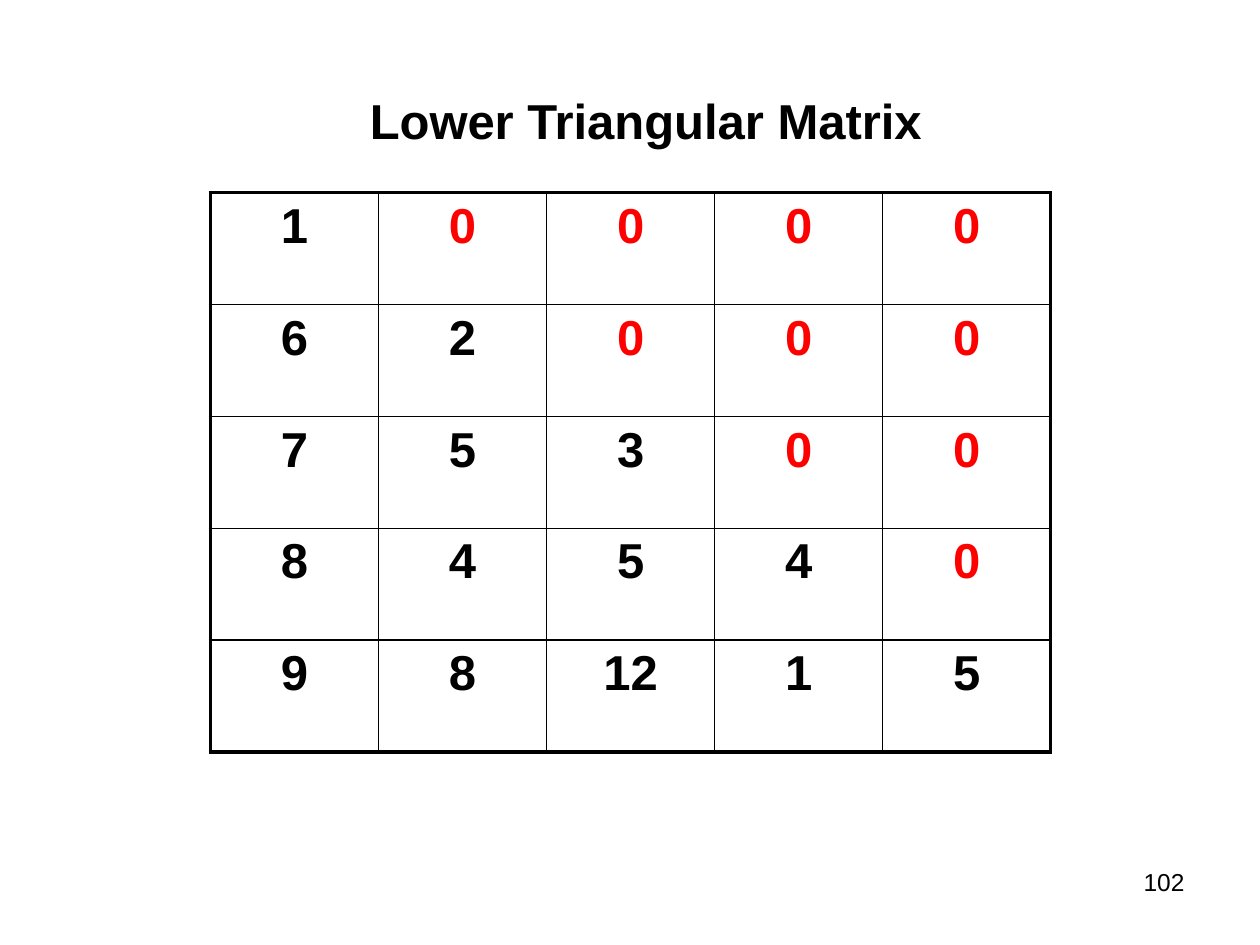
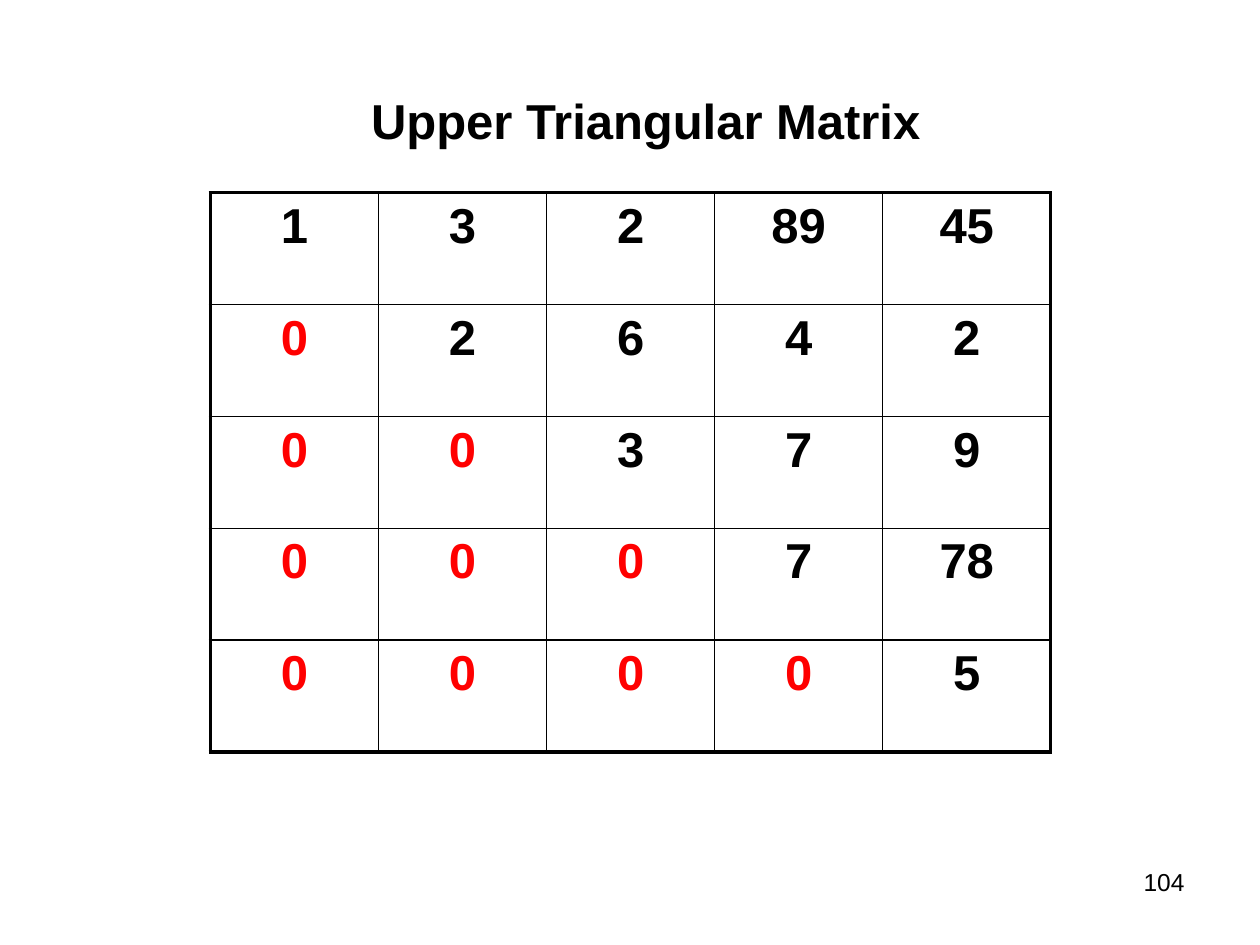
from lxml import etree
from pptx import Presentation
from pptx import util as u
from pptx.dml.color import RGBColor
from pptx.enum import text
from pptx.oxml import ns

BLACK, RED = "000000", "FF0000"
FONT = "Arial"
TITLE_ONLY = 5
THIN, THICK = 1, 2.25
TABLE_LEFT, TABLE_TOP, TABLE_WIDTH, TABLE_HEIGHT = 1.67, 1.53, 6.67, 4.44

LOWER = [
    [1, 0, 0, 0, 0],
    [6, 2, 0, 0, 0],
    [7, 5, 3, 0, 0],
    [8, 4, 5, 4, 0],
    [9, 8, 12, 1, 5],
]
UPPER = [
    [1, 3, 2, 89, 45],
    [0, 2, 6, 4, 2],
    [0, 0, 3, 7, 9],
    [0, 0, 0, 7, 78],
    [0, 0, 0, 0, 5],
]


def color(hex_string):
    return RGBColor.from_string(hex_string)


def write(tf, content, size=28, bold=True, fill=BLACK,
          align=text.PP_ALIGN.CENTER):
    tf.word_wrap = True
    p = tf.paragraphs[0]
    p.alignment = align
    r = p.add_run()
    r.text = content
    r.font.name = FONT
    r.font.size = u.Pt(size)
    r.font.bold = bold
    r.font.color.rgb = color(fill)


def add_title(s, content):
    sp = s.shapes.title
    sp.left, sp.top = u.Inches(2), u.Inches(0.67)
    sp.width, sp.height = u.Inches(6.25), u.Inches(0.57)
    tf = sp.text_frame
    tf.auto_size = text.MSO_AUTO_SIZE.NONE
    tf.vertical_anchor = text.MSO_ANCHOR.TOP
    write(tf, content)


def add_page_number(s, number):
    sp = s.shapes.add_textbox(u.Inches(7.17), u.Inches(6.83),
                              u.Inches(2.33), u.Inches(0.52))
    write(sp.text_frame, str(number), size=14, bold=False,
          align=text.PP_ALIGN.RIGHT)


def set_borders(cell, widths):
    """Draw the cell's sides; widths maps L, R, T, B, in that order, to points."""
    tc_pr = cell._tc.get_or_add_tcPr()
    for side, width in widths.items():
        ln = etree.SubElement(tc_pr, ns.qn(f"a:ln{side}"), w=str(u.Pt(width)))
        fill = etree.SubElement(ln, ns.qn("a:solidFill"))
        etree.SubElement(fill, ns.qn("a:srgbClr"), val=BLACK)


def add_matrix(s, matrix, is_zero_part):
    """Draw the matrix, with red where is_zero_part(row, column) holds."""
    n = len(matrix)
    table = s.shapes.add_table(
        n, n, u.Inches(TABLE_LEFT), u.Inches(TABLE_TOP),
        u.Inches(TABLE_WIDTH), u.Inches(TABLE_HEIGHT)).table
    table.first_row = table.horz_banding = False
    for i, values in enumerate(matrix):
        for j, value in enumerate(values):
            cell = table.cell(i, j)
            write(cell.text_frame, str(value),
                  fill=RED if is_zero_part(i, j) else BLACK)
            outer = {"L": j == 0, "R": j == n - 1,
                     "T": i == 0, "B": i == n - 1}
            set_borders(cell, {side: THICK if edge else THIN
                               for side, edge in outer.items()})
            cell.fill.background()


def add_matrix_slide(prs, title, number, matrix, is_zero_part):
    s = prs.slides.add_slide(prs.slide_layouts[TITLE_ONLY])
    add_page_number(s, number)
    add_matrix(s, matrix, is_zero_part)
    add_title(s, title)


def main():
    prs = Presentation()
    prs.slide_width, prs.slide_height = u.Inches(10), u.Inches(7.5)
    add_matrix_slide(prs, "Lower Triangular Matrix", 102, LOWER,
                     lambda i, j: j > i)
    add_matrix_slide(prs, "Upper Triangular Matrix", 104, UPPER,
                     lambda i, j: j < i)
    prs.save("out.pptx")


if __name__ == "__main__":
    main()
